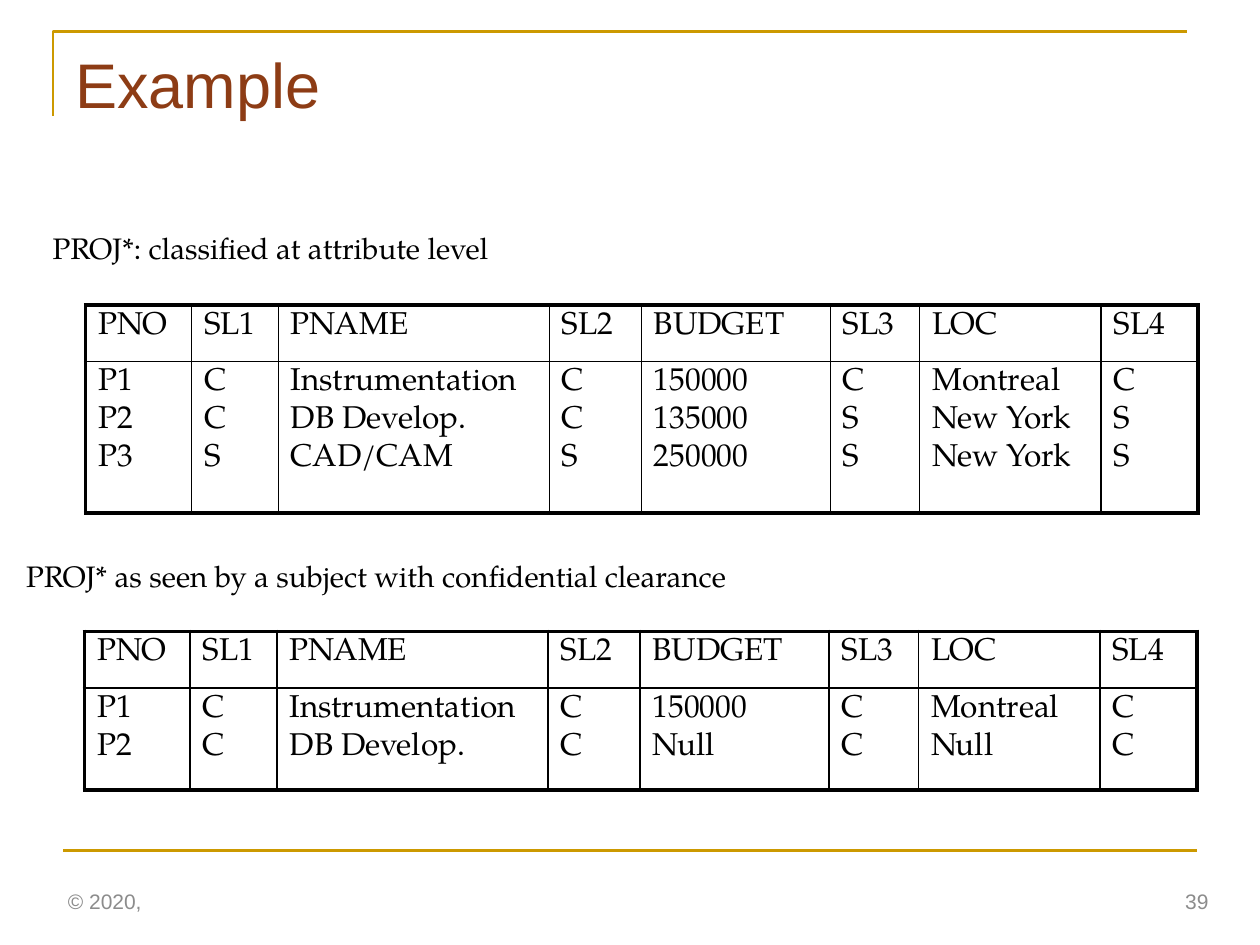
from dataclasses import dataclass

from lxml import etree
from pptx import Presentation
from pptx.dml.color import RGBColor
from pptx.enum.shapes import MSO_CONNECTOR
from pptx.enum.text import MSO_ANCHOR, MSO_AUTO_SIZE, PP_ALIGN
from pptx.oxml.ns import qn
from pptx.util import Emu, Inches, Pt

LINE = MSO_CONNECTOR.STRAIGHT
TOP, MID = MSO_ANCHOR.TOP, MSO_ANCHOR.MIDDLE
LEFT, RIGHT = PP_ALIGN.LEFT, PP_ALIGN.RIGHT
FIT = MSO_AUTO_SIZE.SHAPE_TO_FIT_TEXT

WIDE, HIGH = Inches(10), Inches(7.5)
SANS, SERIF = "Arial", "TeX Gyre Pagella"
HEX = {"gold": "CC9900", "rust": "8D3C15", "ink": "000000", "gray": "8C8C8C"}
THIN, THICK = 1, 2.25

HEADS = ["PNO", "SL1", "PNAME", "SL2", "BUDGET", "SL3", "LOC", "SL4"]
COLS = [8.4, 6.9, 21.5, 7.3, 15, 7.1, 14.4, 7.7]
HEAD_ROW = 6


# Places are percent of the slide's width and height
@dataclass
class Label:
    text: str
    x: float
    y: float
    w: float
    h: float
    size: float
    font: str
    hue: str
    anchor: MSO_ANCHOR = TOP
    align: PP_ALIGN = LEFT
    wrap: bool = True


@dataclass
class Grid:
    x: float
    y: float
    body: float
    rows: list[list[str]]


LABELS = [
    Label("Example", 5, 4.2, 90, 16.67, 36, SANS, "rust"),
    Label("PROJ*: classified at attribute level",
          3.2, 23.73, 37.1, 5.07, 16.9, SERIF, "ink", wrap=False),
    Label("PROJ* as seen by a subject with confidential clearance",
          1.1, 58.4, 58.3, 5.07, 16.9, SERIF, "ink", wrap=False),
    Label("© 2020,", 4.4, 92.67, 33.8, 5.33, 12, SANS, "gray", MID),
    Label("39", 74.4, 92.67, 22.5, 5.33, 12, SANS, "gray", MID, RIGHT),
]

GRIDS = [
    Grid(6.8, 32.27, 16, [
        ["P1", "C", "Instrumentation", "C", "150000", "C", "Montreal", "C"],
        ["P2", "C", "DB Develop.", "C", "135000", "S", "New York", "S"],
        ["P3", "S", "CAD/CAM", "S", "250000", "S", "New York", "S"],
    ]),
    Grid(6.7, 66.8, 10.8, [
        ["P1", "C", "Instrumentation", "C", "150000", "C", "Montreal", "C"],
        ["P2", "C", "DB Develop.", "C", "Null", "C", "Null", "C"],
    ]),
]


def across(share: float) -> Emu:
    return Emu(round(WIDE * share / 100))


def down(share: float) -> Emu:
    return Emu(round(HIGH * share / 100))


def style(para, size: float, font: str, hue: str) -> None:
    for run in para.runs:
        run.font.size = Pt(size)
        run.font.name = font
        run.font.color.rgb = RGBColor.from_string(HEX[hue])


def stroke(shape) -> None:
    shape.line.color.rgb = RGBColor.from_string(HEX["gold"])
    shape.line.width = Pt(1.5)


def draw_rules(slide) -> None:
    # Corner around the title
    pen = slide.shapes.build_freeform(across(4.2), down(12.27))
    pen.add_line_segments([(across(4.2), down(3.33)),
                           (across(94.2), down(3.33))], close=False)
    corner = pen.convert_to_shape()
    corner.shadow.inherit = False
    corner.fill.background()
    stroke(corner)
    # Line above the footer
    foot = slide.shapes.add_connector(LINE, across(5), down(90),
                                      across(95), down(90))
    stroke(foot)
    etree.SubElement(foot._element.spPr, qn("a:effectLst"))


def draw_label(slide, item: Label) -> None:
    box = slide.shapes.add_textbox(across(item.x), down(item.y),
                                   across(item.w), down(item.h))
    frame = box.text_frame
    frame.word_wrap = item.wrap
    if not item.wrap:
        frame.auto_size = FIT
    frame.vertical_anchor = item.anchor
    frame.text = item.text
    para = frame.paragraphs[0]
    para.alignment = item.align
    style(para, item.size, item.font, item.hue)


def edge(cell, sides: dict[str, float]) -> None:
    props = cell._tc.get_or_add_tcPr()
    for spot, (side, width) in enumerate(sides.items()):
        line = etree.Element(qn(f"a:ln{side}"), w=str(Pt(width)))
        fill = etree.SubElement(line, qn("a:solidFill"))
        etree.SubElement(fill, qn("a:srgbClr"), val=HEX["ink"])
        props.insert(spot, line)


def fill_cell(cell, text: str) -> None:
    cell.fill.background()
    cell.text_frame.text = text
    for para in cell.text_frame.paragraphs:
        para.line_spacing = 0.9
        gap = etree.SubElement(para._p.get_or_add_pPr(), qn("a:spcBef"))
        etree.SubElement(gap, qn("a:spcPct"), val="30000")
        style(para, 18, SERIF, "ink")


def draw_grid(slide, grid: Grid) -> None:
    tall = [HEAD_ROW, grid.body]
    frame = slide.shapes.add_table(len(tall), len(COLS), across(grid.x),
                                   down(grid.y), across(sum(COLS)),
                                   down(sum(tall)))
    table = frame.table
    table.first_row = table.horz_banding = False
    for row, share in zip(table.rows, tall):
        row.height = down(share)
    # The body row holds each column's values as paragraphs
    last = len(COLS) - 1
    for c, (head, *vals) in enumerate(zip(HEADS, *grid.rows)):
        table.columns[c].width = across(COLS[c])
        for r, text in enumerate([head, "\n".join(vals)]):
            cell = table.cell(r, c)
            fill_cell(cell, text)
            edge(cell, {"L": THICK if c == 0 else THIN,
                        "R": THICK if c == last else THIN,
                        "T": THICK if r == 0 else THIN,
                        "B": THICK if r == 1 else THIN})


def main() -> None:
    deck = Presentation()
    deck.slide_width, deck.slide_height = WIDE, HIGH
    slide = deck.slides.add_slide(deck.slide_layouts[6])
    draw_rules(slide)
    for grid in GRIDS:
        draw_grid(slide, grid)
    for item in LABELS:
        draw_label(slide, item)
    deck.save("out.pptx")


if __name__ == "__main__":
    main()
